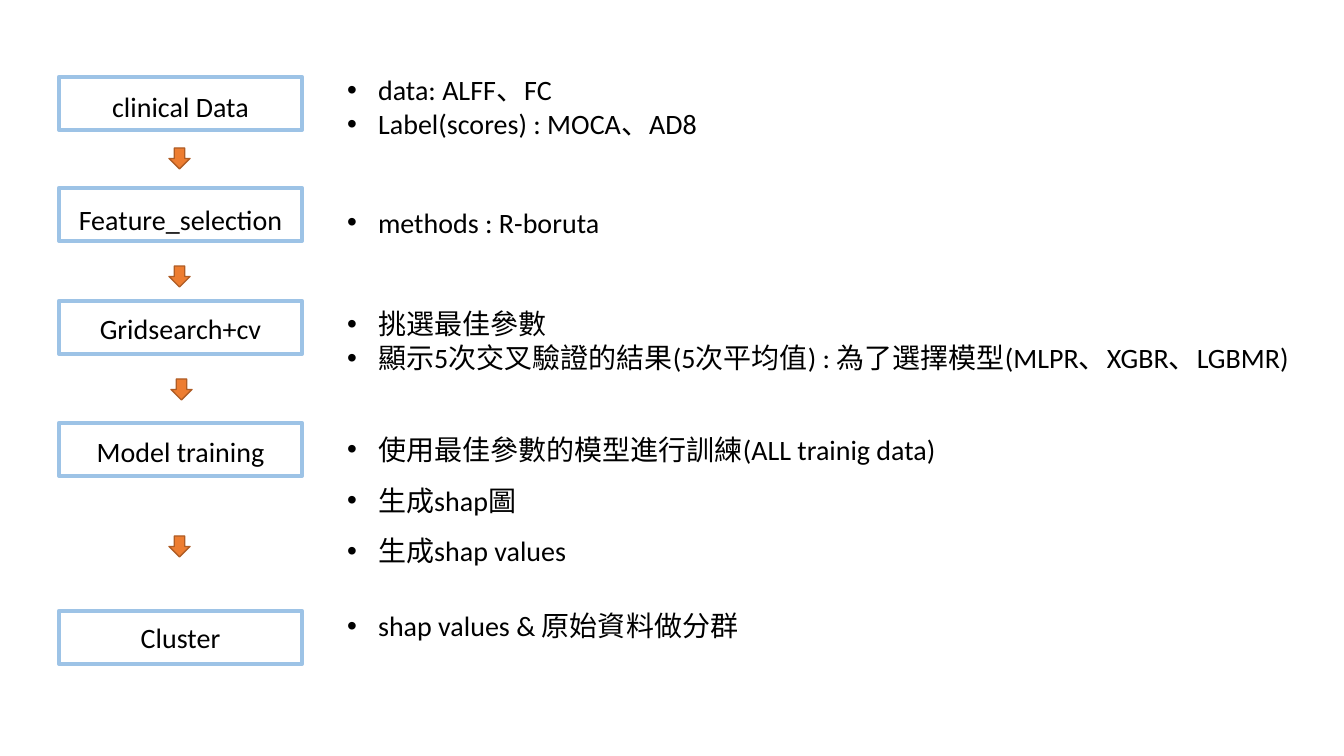
import dataclasses
import typing

import lxml.etree
import pptx
import pptx.dml.color
import pptx.enum.shapes
import pptx.enum.text
import pptx.oxml.ns
import pptx.util

EMU_PER_PIXEL = 914400 / 100.8
LATIN_FONT = "Calibri"
ASIAN_FONT = "Noto Sans CJK SC"
COLOURS = {
    "text": "000000",
    "box_line": "9DC3E6",
    "arrow_fill": "ED7D31",
    "arrow_line": "AF5C24",
}
BOX_LEFT, BOX_WIDTH, BOX_HEIGHT = 59, 243, 53
LABEL_HEIGHT = 44
ARROW_SIZE = 21
BULLET_INDENT = 31
SINGLE_LINE, WIDE_LINE = 24.4, 36.3


@dataclasses.dataclass
class Step:
    """One stage of the pipeline, with the arrow that follows it."""
    label: str
    box_top: int
    label_top: int
    arrow_left: int = 169
    arrow_top: typing.Optional[int] = None


@dataclasses.dataclass
class Bullet:
    """One list entry, with its spacing in points."""
    text: str
    space_before: float = 0
    line_height: float = SINGLE_LINE


STEPS = [
    Step("clinical Data", 77, 85, arrow_top=148),
    Step("Feature_selection", 188, 198, arrow_top=266),
    Step("Gridsearch+cv", 301, 307, arrow_left=171, arrow_top=379),
    Step("Model training", 423, 430, arrow_top=536),
    Step("Cluster", 611, 616),
]
BULLETS = [
    Bullet("data: ALFF、FC"),
    Bullet("Label(scores) : MOCA、AD8"),
    Bullet("methods : R-boruta", space_before=46),
    Bullet("挑選最佳參數", space_before=48),
    Bullet("顯示5次交叉驗證的結果(5次平均值) : 為了選擇模型(MLPR、XGBR、LGBMR)"),
    Bullet("使用最佳參數的模型進行訓練(ALL trainig data)", 29, WIDE_LINE),
    Bullet("生成shap圖", line_height=WIDE_LINE),
    Bullet("生成shap values", line_height=WIDE_LINE),
    Bullet("shap values & 原始資料做分群", space_before=29),
]


def pixels(value: float) -> pptx.util.Emu:
    """Turn pixels into EMU."""
    return pptx.util.Emu(round(value * EMU_PER_PIXEL))


def colour(name: str) -> pptx.dml.color.RGBColor:
    """Look up a named colour."""
    return pptx.dml.color.RGBColor.from_string(COLOURS[name])


def apply_format(target: typing.Any, values: typing.Dict[str, typing.Any]) -> None:
    """Set each attribute named in the format values."""
    for name, value in values.items():
        setattr(target, name, value)


def add_text(paragraph: typing.Any, text: str) -> None:
    """Add a run in the slide's text style."""
    run = paragraph.add_run()
    run.text = text
    apply_format(run.font, {"size": pptx.util.Pt(20), "name": LATIN_FONT})
    run.font.color.rgb = colour("text")
    properties = run.font._element
    asian = lxml.etree.SubElement(properties, pptx.oxml.ns.qn("a:ea"))
    asian.set("typeface", ASIAN_FONT)


def add_outline(slide: typing.Any, kind: typing.Any, frame: typing.Tuple[int, ...],
                line: str, width: float, fill: typing.Optional[str] = None) -> None:
    """Draw a preset shape, left unfilled when no fill is given."""
    shape = slide.shapes.add_shape(kind, *map(pixels, frame))
    shape.shadow.inherit = False
    shape.line.color.rgb = colour(line)
    shape.line.width = pptx.util.Pt(width)
    if fill:
        shape.fill.solid()
        shape.fill.fore_color.rgb = colour(fill)
    else:
        shape.fill.background()


def add_step(slide: typing.Any, step: Step) -> None:
    """Draw a step's box, label and following arrow."""
    kinds = pptx.enum.shapes.MSO_SHAPE
    add_outline(slide, kinds.RECTANGLE,
                (BOX_LEFT, step.box_top, BOX_WIDTH, BOX_HEIGHT), "box_line", 3)
    label = slide.shapes.add_textbox(
        *map(pixels, (BOX_LEFT, step.label_top, BOX_WIDTH, LABEL_HEIGHT)))
    label.text_frame.word_wrap = True
    paragraph = label.text_frame.paragraphs[0]
    paragraph.alignment = pptx.enum.text.PP_ALIGN.CENTER
    add_text(paragraph, step.label)
    if step.arrow_top is not None:
        add_outline(slide, kinds.DOWN_ARROW,
                    (step.arrow_left, step.arrow_top, ARROW_SIZE, ARROW_SIZE),
                    "arrow_line", 1, "arrow_fill")


def add_bullet(paragraph: typing.Any, bullet: Bullet) -> None:
    """Fill a paragraph as a bulleted list entry."""
    apply_format(paragraph, {
        "alignment": pptx.enum.text.PP_ALIGN.LEFT,
        "line_spacing": pptx.util.Pt(bullet.line_height),
        "space_before": pptx.util.Pt(bullet.space_before),
        "space_after": pptx.util.Pt(0),
    })
    properties = paragraph._p.get_or_add_pPr()
    properties.set("marL", str(pixels(BULLET_INDENT)))
    properties.set("indent", str(pixels(-BULLET_INDENT)))
    font = lxml.etree.SubElement(properties, pptx.oxml.ns.qn("a:buFont"))
    font.set("typeface", "Arial")
    mark = lxml.etree.SubElement(properties, pptx.oxml.ns.qn("a:buChar"))
    mark.set("char", "•")
    add_text(paragraph, bullet.text)


def fill_details(body: typing.Any) -> None:
    """Place the body placeholder and write the list of details."""
    apply_format(body, {"left": pixels(337), "top": pixels(67),
                        "width": pixels(979), "height": pixels(615)})
    frame = body.text_frame
    apply_format(frame, {
        "word_wrap": True,
        "auto_size": pptx.enum.text.MSO_AUTO_SIZE.NONE,
        "vertical_anchor": pptx.enum.text.MSO_ANCHOR.TOP,
    })
    for index, bullet in enumerate(BULLETS):
        paragraph = frame.add_paragraph() if index else frame.paragraphs[0]
        add_bullet(paragraph, bullet)


def main() -> None:
    """Build and save the presentation."""
    presentation = pptx.Presentation()
    apply_format(presentation, {"slide_width": pixels(1344),
                                "slide_height": pixels(756)})
    slide = presentation.slides.add_slide(presentation.slide_layouts[1])
    title = slide.shapes.title._element
    title.getparent().remove(title)
    fill_details(slide.placeholders[1])
    for step in STEPS:
        add_step(slide, step)
    presentation.save("out.pptx")


main()
